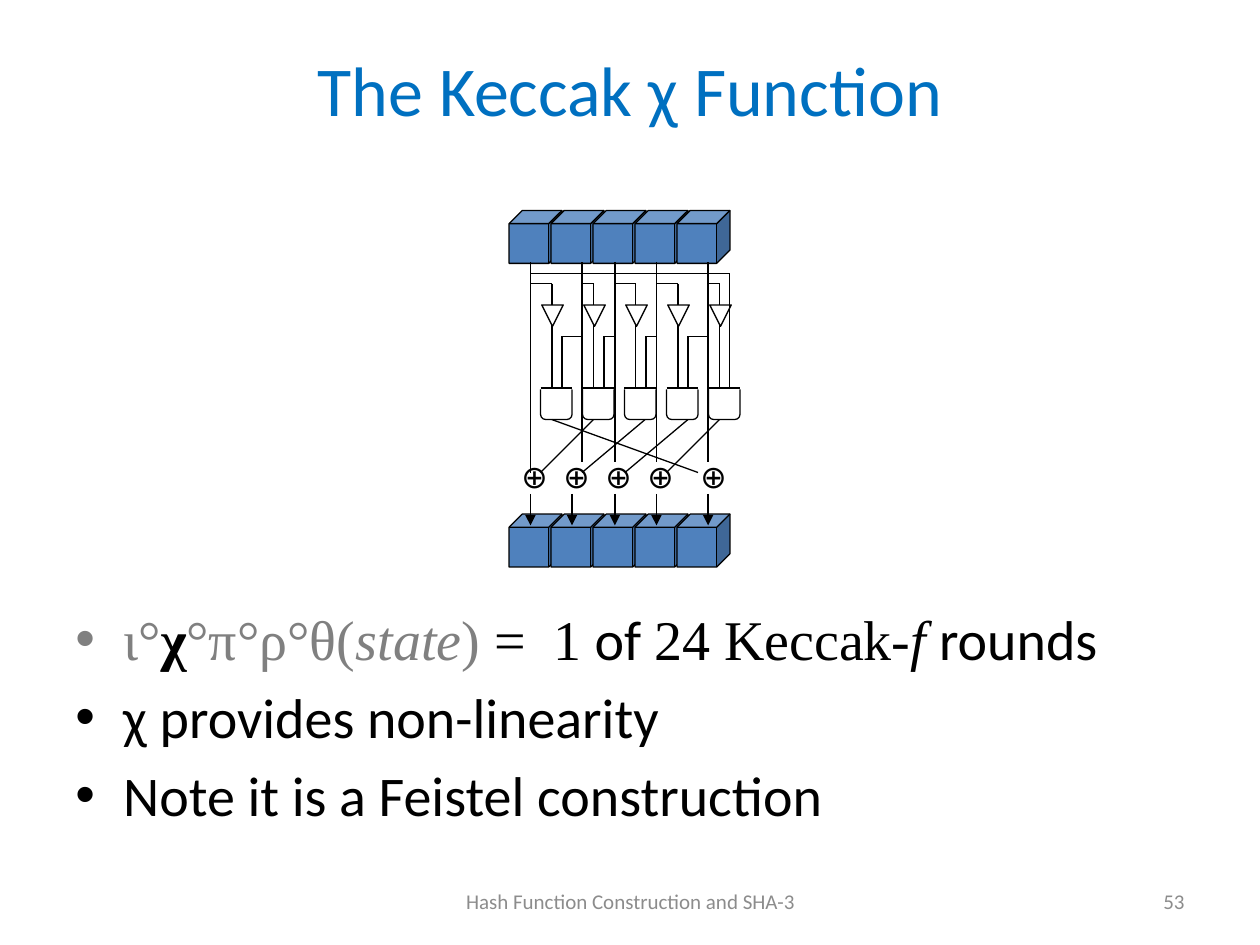
from lxml import etree
from pptx import Presentation
from pptx import util as u
from pptx.dml.color import RGBColor
from pptx.enum import shapes, text
from pptx.oxml import ns

COLORS = {"title": "0070C0", "muted": "808080", "footer": "8C8C8C",
          "ink": "000000", "cube": "4F81BD", "paper": "FFFFFF"}
SANS, SERIF = "Calibri", "Times New Roman"
LEFT, CENTER, RIGHT = text.PP_ALIGN.LEFT, text.PP_ALIGN.CENTER, text.PP_ALIGN.RIGHT
TOP, MIDDLE = text.MSO_ANCHOR.TOP, text.MSO_ANCHOR.MIDDLE
KIND = shapes.MSO_SHAPE

deck = Presentation()
deck.slide_width, deck.slide_height = u.Inches(10), u.Inches(7.5)
page = deck.slides.add_slide(deck.slide_layouts[6])
circuit = page.shapes.add_group_shape()


def add_part(kind, left, top, width, height, fill, outlined=True):
    """Add one filled circuit symbol to the group."""
    part = circuit.shapes.add_shape(kind, *map(u.Inches, (left, top, width, height)))
    part.shadow.inherit = False
    part.fill.solid()
    part.fill.fore_color.rgb = RGBColor.from_string(COLORS[fill])
    if outlined:
        part.line.color.rgb = RGBColor.from_string(COLORS["ink"])
        part.line.width = u.Pt(0.75)
    else:
        part.line.fill.background()
    return part


def add_wires(*points, arrow=False):
    """Join the points in turn with straight wires."""
    for start, end in zip(points, points[1:]):
        wire = circuit.shapes.add_connector(
            shapes.MSO_CONNECTOR.STRAIGHT, *map(u.Inches, (*start, *end)))
        wire.line.color.rgb = RGBColor.from_string(COLORS["ink"])
        wire.line.width = u.Pt(0.75)
        properties = wire.element.spPr
        if arrow:
            etree.SubElement(wire.line._get_or_add_ln(), ns.qn("a:tailEnd"), type="triangle")
        etree.SubElement(properties, ns.qn("a:effectLst"))


# Columns are a third of an inch apart
PITCH = 1 / 3
shifts = [column * PITCH for column in range(5)]
lanes = [4.21, 4.62, 4.88, 5.21, 5.62]
inverters = [4.38 + shift for shift in shifts]

# Rows of cubes: output below, input above
for top in (4.08, 1.67):
    for shift in shifts:
        add_part(KIND.CUBE, 4.04 + shift, top, 0.42, 0.42, "cube")

# AND gates: rounded box with its top half masked and a flat upper edge
for shift in shifts:
    left = 4.29 + shift
    add_part(KIND.ROUNDED_RECTANGLE, left, 3, 0.25, 0.33, "paper")
    add_part(KIND.RECTANGLE, left - 0.08, 2.92, 0.42, 0.17, "paper", outlined=False)
    add_wires((left, 3.08), (left + 0.25, 3.08))

# Lanes from the input cubes, and arrows into the output cubes
for lane, bottom in zip(lanes, [3.75] + [3.67] * 4):
    add_wires((lane, 2.08), (lane, bottom))
for lane in [4.21, 4.54, 4.88, 5.21, 5.62]:
    add_wires((lane, 3.92), (lane, 4.17), arrow=True)

# Inverters, each fed from its lane and leading to its gate
for lane, middle in zip(lanes, inverters):
    inverter = add_part(KIND.ISOSCELES_TRIANGLE, middle - 0.08, 2.42, 0.17, 0.17, "paper")
    inverter.rotation = 180
    add_wires((lane, 2.25), (middle, 2.25), (middle, 2.42))
    add_wires((middle, 2.58), (middle, 3.08))

# Second gate inputs come from the next lane; the last wraps round
for next_lane, middle in zip(lanes[1:], inverters):
    add_wires((next_lane, 2.67), (middle + 0.08, 2.67), (middle + 0.08, 3.08))
add_wires((lanes[0], 2.17), (5.79, 2.17), (5.79, 3.08))

# Gate outputs cross to the XOR symbols
for gate_x, xor_x in [(4.38, 5.54), (4.71, 4.29), (5.12, 4.62), (5.46, 4.96), (5.71, 5.29)]:
    add_wires((gate_x, 3.33), (xor_x, 3.75))

# Text: bounds, anchor, alignment, size, space before, bulleted, paragraphs
# Each run: wording, colour, font, bold, italic
formula = [("ι°", "muted", SERIF, False, False),
           ("χ", "ink", SERIF, True, False),
           ("°π°ρ°θ(", "muted", SERIF, False, False),
           ("state", "muted", SERIF, False, True),
           (")", "muted", SERIF, False, False),
           (" =  1", "ink", SERIF, False, False),
           (" of ", "ink", SANS, False, False),
           ("24 Keccak-", "ink", SERIF, False, False),
           ("f", "ink", SERIF, False, True),
           (" rounds", "ink", SANS, False, False)]
remarks = [[(wording, "ink", SANS, False, False)]
           for wording in ("χ provides non-linearity", "Note it is a Feistel construction")]
blocks = [
    (page, (0.5, 0.08, 9, 1.25), MIDDLE, CENTER, 40, 0, False,
     [[("The Keccak χ Function", "title", SANS, False, False)]]),
    (page, (0.5, 4.75, 9, 1.95), TOP, LEFT, 32, 6, True, [formula, *remarks]),
    (page, (3.42, 6.95, 3.17, 0.4), MIDDLE, CENTER, 12, 0, False,
     [[("Hash Function Construction and SHA-3", "footer", SANS, False, False)]]),
    (page, (7.17, 6.95, 2.33, 0.4), MIDDLE, RIGHT, 12, 0, False,
     [[("53", "footer", SANS, False, False)]]),
]
xor_run = [[("⊕", "ink", SANS, False, False)]]
for shift in shifts[:4]:
    blocks.append((circuit, (4.04 + shift, 3.58, 0.33, 0.4), TOP, LEFT, 18, 0, False, xor_run))
blocks.append((circuit, (5.46, 3.58, 0.25, 0.4), TOP, CENTER, 18, 0, False, xor_run))

for parent, bounds, anchor, alignment, size, space, bulleted, paragraphs in blocks:
    box = parent.shapes.add_textbox(*map(u.Inches, bounds))
    frame = box.text_frame
    frame.word_wrap = True
    frame.vertical_anchor = anchor
    for index, runs in enumerate(paragraphs):
        para = frame.add_paragraph() if index else frame.paragraphs[0]
        para.alignment = alignment
        para.space_before = u.Pt(space)
        if bulleted:
            settings = para._p.get_or_add_pPr()
            settings.set("marL", str(u.Inches(0.38)))
            settings.set("indent", str(-u.Inches(0.38)))
            etree.SubElement(settings, ns.qn("a:buFont"), typeface="Arial")
            etree.SubElement(settings, ns.qn("a:buChar"), char="•")
        for wording, color, font, bold, italic in runs:
            span = para.add_run()
            span.text = wording
            span.font.name, span.font.size = font, u.Pt(size)
            span.font.bold, span.font.italic = bold, italic
            span.font.color.rgb = RGBColor.from_string(COLORS[color])

deck.save("out.pptx")
